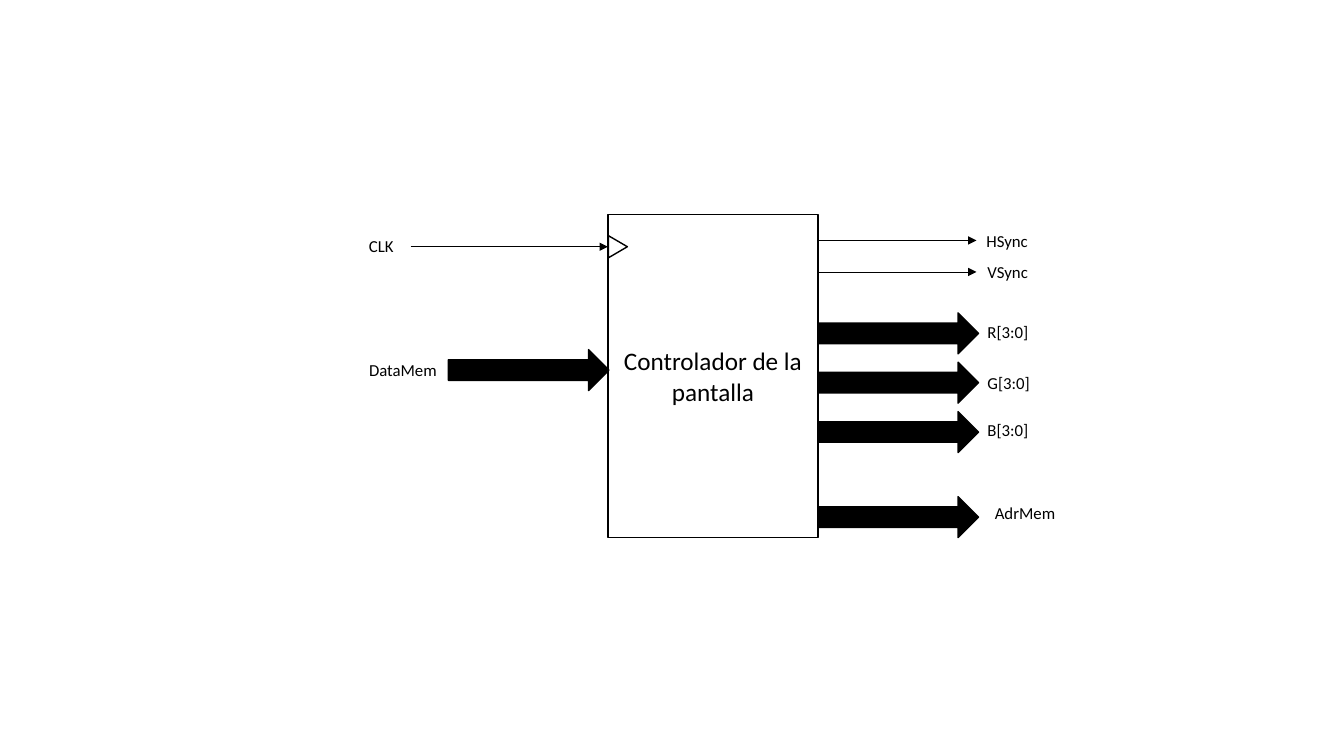
import pptx
import pptx.util
import pptx.dml.color
import pptx.enum.shapes
import pptx.enum.text
import pptx.oxml

BLACK = pptx.dml.color.RGBColor(0x00, 0x00, 0x00)
WHITE = pptx.dml.color.RGBColor(0xFF, 0xFF, 0xFF)
FONT = "Calibri"
SHAPES = pptx.enum.shapes.MSO_SHAPE
BUS_WIDTH, BUS_HEIGHT = 153, 39
LABEL_HEIGHT = 29


def px(length):
    """Turn a length in px into EMU."""
    return pptx.util.Emu(length * 9525)


def add_outlined(slide, kind, left, top, width, height, fill):
    """Add a preset shape with a black outline."""
    shape = slide.shapes.add_shape(kind, px(left), px(top), px(width), px(height))
    shape.shadow.inherit = False
    shape.fill.solid()
    shape.fill.fore_color.rgb = fill
    shape.line.color.rgb = BLACK
    shape.line.width = pptx.util.Pt(1)
    return shape


def set_text(shape, text, size):
    """Write one black paragraph into a shape."""
    paragraph = shape.text_frame.paragraphs[0]
    paragraph.text = text
    paragraph.font.name = FONT
    paragraph.font.size = pptx.util.Pt(size)
    paragraph.font.color.rgb = BLACK
    return paragraph


def add_wire(slide, start, end, y):
    """Add a thin horizontal line with an arrowhead at its end."""
    wire = slide.shapes.add_connector(
        pptx.enum.shapes.MSO_CONNECTOR.STRAIGHT, px(start), px(y), px(end), px(y))
    wire.line.color.rgb = BLACK
    wire.line.width = pptx.util.Pt(0.5)
    line = wire.line._get_or_add_ln()
    pptx.oxml.ns.qn("a:tailEnd")
    line.append(line.makeelement(pptx.oxml.ns.qn("a:tailEnd"), {"type": "triangle"}))
    properties = wire._element.spPr
    properties.append(properties.makeelement(pptx.oxml.ns.qn("a:effectLst"), {}))


def add_bus(slide, left, y):
    """Add a thick arrow centred on the height y."""
    add_outlined(slide, SHAPES.RIGHT_ARROW, left, y - BUS_HEIGHT // 2,
                 BUS_WIDTH, BUS_HEIGHT, BLACK)


def add_label(slide, text, left, top, width):
    """Add a signal name."""
    label = slide.shapes.add_textbox(px(left), px(top), px(width), px(LABEL_HEIGHT))
    label.text_frame.word_wrap = False
    label.text_frame.auto_size = pptx.enum.text.MSO_AUTO_SIZE.SHAPE_TO_FIT_TEXT
    set_text(label, text, 12)


def add_controller(slide, left, top, width, height):
    """Draw the controller block with its clock notch."""
    block = add_outlined(slide, SHAPES.RECTANGLE, left, top, width, height, WHITE)
    block.text_frame.word_wrap = True
    block.text_frame.vertical_anchor = pptx.enum.text.MSO_ANCHOR.MIDDLE
    paragraph = set_text(block, "Controlador de la pantalla", 18)
    paragraph.alignment = pptx.enum.text.PP_ALIGN.CENTER
    notch = add_outlined(slide, SHAPES.ISOSCELES_TRIANGLE, left - 1, top + 22, 21, 18, WHITE)
    notch.rotation = 90


def add_inputs(slide, left, top, width):
    """Draw the clock and data inputs, ending at the right of the box."""
    add_wire(slide, left + 49, left + width, top + 31)
    add_label(slide, "CLK", left, top + 16, 43)
    add_bus(slide, left + 85, top + 148)
    add_label(slide, "DataMem", left, top + 134, 84)


def add_outputs(slide, left, top):
    """Draw the sync wires and the colour and address buses with their names."""
    syncs = [("HSync", 25, 151, 11, 60), ("VSync", 55, 152, 41, 59)]
    buses = [("R[3:0]", 113, 152, 98, 59), ("G[3:0]", 160, 152, 146, 60),
             ("B[3:0]", 207, 152, 191, 59), ("AdrMem", 288, 159, 270, 78)]
    for name, axis, label_left, label_top, label_width in syncs + buses:
        add_label(slide, name, left + label_left, top + label_top, label_width)
    for name, axis, *label_box in syncs:
        add_wire(slide, left, left + 151, top + axis)
    for name, axis, *label_box in buses:
        add_bus(slide, left, top + axis)


def main():
    """Build the block diagram slide and save it."""
    presentation = pptx.Presentation()
    presentation.slide_width = px(1280)
    presentation.slide_height = px(720)
    slide = presentation.slides.add_slide(presentation.slide_layouts[6])
    add_controller(slide, 579, 204, 200, 308)
    add_inputs(slide, 342, 204, 237)
    add_outputs(slide, 779, 204)
    presentation.save("out.pptx")


if __name__ == "__main__":
    main()
